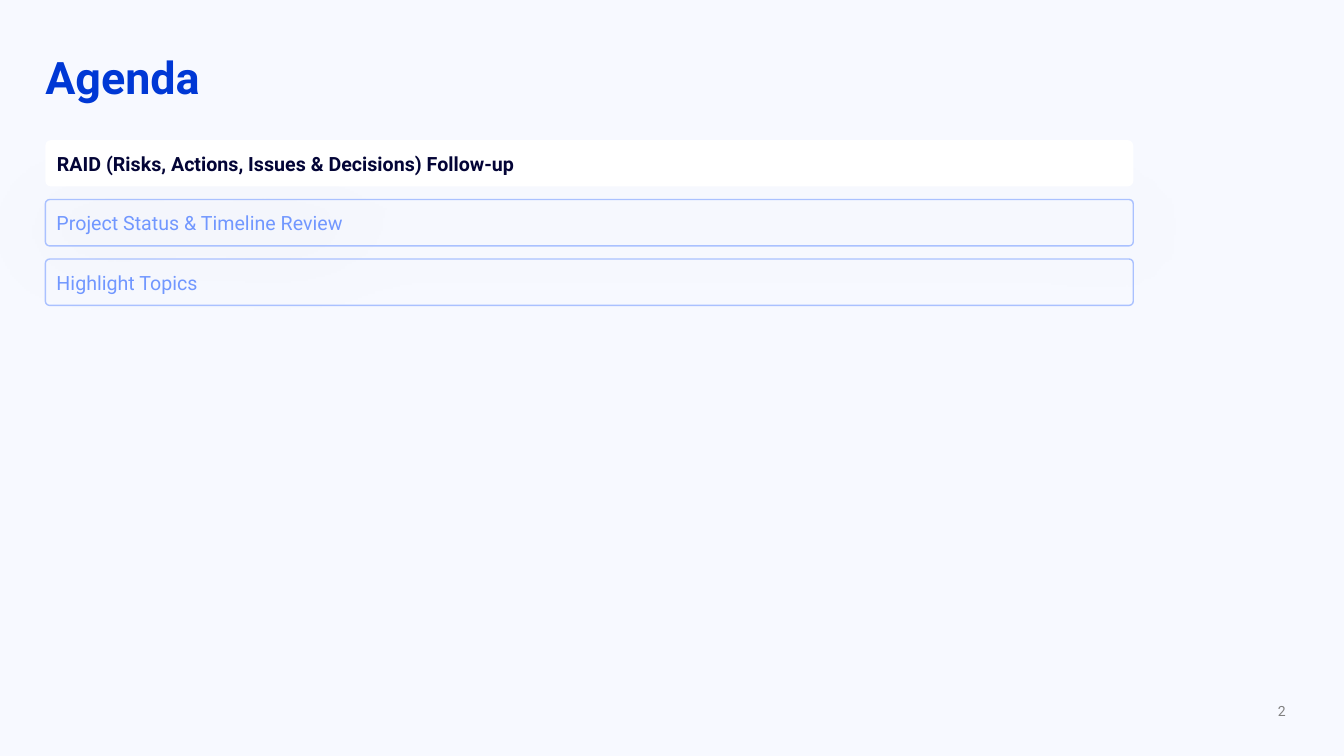
from lxml.etree import SubElement
from pptx import Presentation
from pptx.dml.color import RGBColor
from pptx.enum.shapes import MSO_SHAPE
from pptx.enum.text import MSO_ANCHOR, PP_ALIGN
from pptx.oxml.ns import qn
from pptx.util import Inches, Pt

FONT = "Roboto"
COLORS = {
    "background": "F7F9FF",
    "title": "0038D5",
    "current": "030436",
    "upcoming": "7197FF",
    "outline": "AAC1FF",
    "card": "FFFFFF",
    "number": "808080",
}
LEFT = 0.45
ROW_TOP, ROW_STEP = 1.39, 0.59
ROW_WIDTH, ROW_HEIGHT = 10.79, 0.46


def rgb(name):
    return RGBColor.from_string(COLORS[name])


def write(shape, text, size, color, bold=False, align=PP_ALIGN.LEFT):
    frame = shape.text_frame
    frame.text = text
    frame.word_wrap = True
    para = frame.paragraphs[0]
    para.alignment = align
    para.font.name = FONT
    para.font.size = Pt(size)
    para.font.bold = bold
    para.font.color.rgb = rgb(color)
    return frame


def add_label(page, left, top, width, height, text, size, color, **style):
    box = page.shapes.add_textbox(
        Inches(left), Inches(top), Inches(width), Inches(height))
    return write(box, text, size, color, **style)


def add_soft_shadow(shape):
    effects = shape._element.spPr.find(qn("a:effectLst"))
    shadow = SubElement(effects, qn("a:outerShdw"), blurRad=str(Pt(60)),
                        dist=str(Pt(6)), dir="5400000", rotWithShape="0")
    tint = SubElement(shadow, qn("a:srgbClr"), val=COLORS["current"])
    SubElement(tint, qn("a:alpha"), val="20000")


def add_agenda_row(page, row, text, current=False, shadow=False):
    box = page.shapes.add_shape(
        MSO_SHAPE.ROUNDED_RECTANGLE,
        Inches(LEFT), Inches(ROW_TOP + row * ROW_STEP),
        Inches(ROW_WIDTH), Inches(ROW_HEIGHT))
    box.shadow.inherit = False
    if current:
        box.adjustments[0] = 0.12
        box.fill.solid()
        box.fill.fore_color.rgb = rgb("card")
        box.line.fill.background()
    else:
        box.adjustments[0] = 0.09
        box.fill.background()
        box.line.color.rgb = rgb("outline")
        box.line.width = Pt(1)
    if shadow:
        add_soft_shadow(box)
    color = "current" if current else "upcoming"
    frame = write(box, text, 14, color, bold=current)
    frame.vertical_anchor = MSO_ANCHOR.MIDDLE


def main():
    deck = Presentation()
    deck.slide_width, deck.slide_height = Inches(13.33), Inches(7.5)
    page = deck.slides.add_slide(deck.slide_layouts[6])
    page.background.fill.solid()
    page.background.fill.fore_color.rgb = rgb("background")

    # Title
    title = add_label(page, LEFT, 0.44, 12.4, 0.64, "Agenda", 32, "title",
                      bold=True)
    title.margin_left = 0

    # Page number
    number = add_label(page, 9.85, 6.92, 3, 0.27, "2", 10, "number",
                       align=PP_ALIGN.RIGHT)
    number.vertical_anchor = MSO_ANCHOR.MIDDLE

    # Agenda rows, the shadowed one first so that it stays behind the others
    add_agenda_row(page, 1, "Project Status & Timeline Review", shadow=True)
    add_agenda_row(page, 0, "RAID (Risks, Actions, Issues & Decisions) Follow-up",
                   current=True)
    add_agenda_row(page, 2, "Highlight Topics")

    deck.save("out.pptx")


if __name__ == "__main__":
    main()
